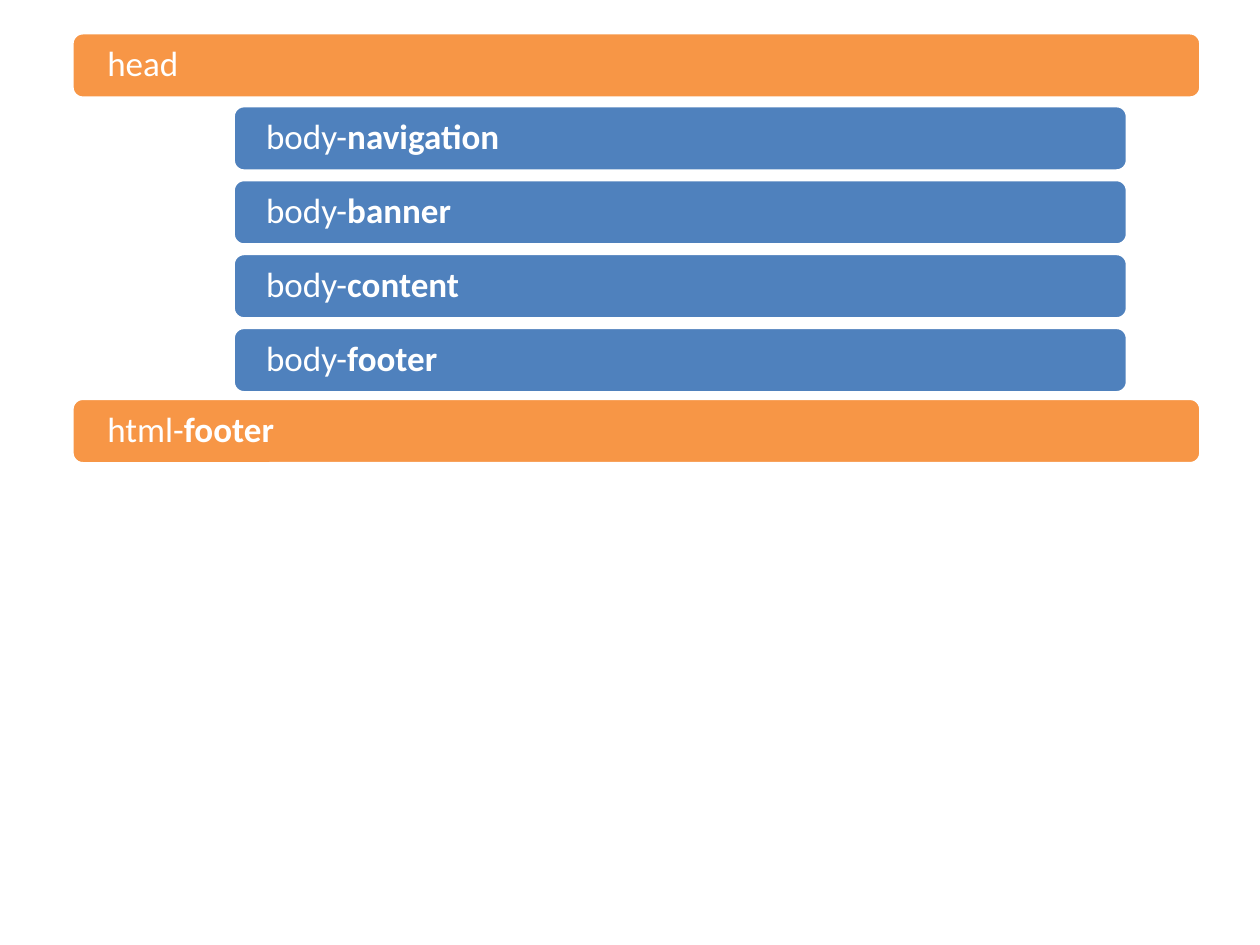
import pptx
import pptx.util
import pptx.dml.color
import pptx.enum.shapes
import pptx.enum.text

Cm = pptx.util.Cm
Pt = pptx.util.Pt
RGBColor = pptx.dml.color.RGBColor

WHITE = RGBColor(0xFF, 0xFF, 0xFF)
BLUE = RGBColor(0x4F, 0x81, 0xBD)
ORANGE = RGBColor(0xF7, 0x96, 0x46)

BAR_HEIGHT = 1.32
BODY_TOP, BODY_PITCH = 2.13, 1.49
BODY_PARTS = ["navigation", "banner", "content", "footer"]


def add_run(p, text, bold):
    r = p.add_run()
    r.text = text
    r.font.name = "Calibri"
    r.font.size = Pt(20)
    r.font.bold = bold
    r.font.color.rgb = WHITE


def add_bar(s, left, top, width, color, indent, prefix, name=""):
    """Rounded bar with a plain prefix and a bold part name, in cm."""
    sp = s.shapes.add_shape(
        pptx.enum.shapes.MSO_SHAPE.ROUNDED_RECTANGLE,
        Cm(left), Cm(top), Cm(width), Cm(BAR_HEIGHT))
    sp.shadow.inherit = False
    sp.fill.solid()
    sp.fill.fore_color.rgb = color
    sp.line.color.rgb = WHITE
    sp.line.width = Pt(2)

    tf = sp.text_frame
    tf.word_wrap = True
    tf.vertical_anchor = pptx.enum.text.MSO_ANCHOR.MIDDLE
    tf.margin_left = Cm(indent)
    tf.margin_top = tf.margin_right = tf.margin_bottom = Cm(0.2)
    p = tf.paragraphs[0]
    p.alignment = pptx.enum.text.PP_ALIGN.LEFT
    p.line_spacing = 0.9
    add_run(p, prefix, False)
    if name:
        add_run(p, name, True)


def add_page_bar(s, top, prefix, name=""):
    add_bar(s, 1.45, top, 22.76, ORANGE, 0.65, prefix, name)


def add_body_bar(s, top, name):
    add_bar(s, 4.7, top, 18.03, BLUE, 0.6, "body-", name)


def main():
    prs = pptx.Presentation()
    prs.slide_width, prs.slide_height = Cm(25.4), Cm(19.05)
    s = prs.slides.add_slide(prs.slide_layouts[6])

    # Page head
    add_page_bar(s, 0.66, "head")

    # Body parts
    for i, name in enumerate(BODY_PARTS):
        add_body_bar(s, BODY_TOP + i * BODY_PITCH, name)

    # Page footer
    add_page_bar(s, 8.03, "html-", "footer")

    prs.save("out.pptx")


if __name__ == "__main__":
    main()
